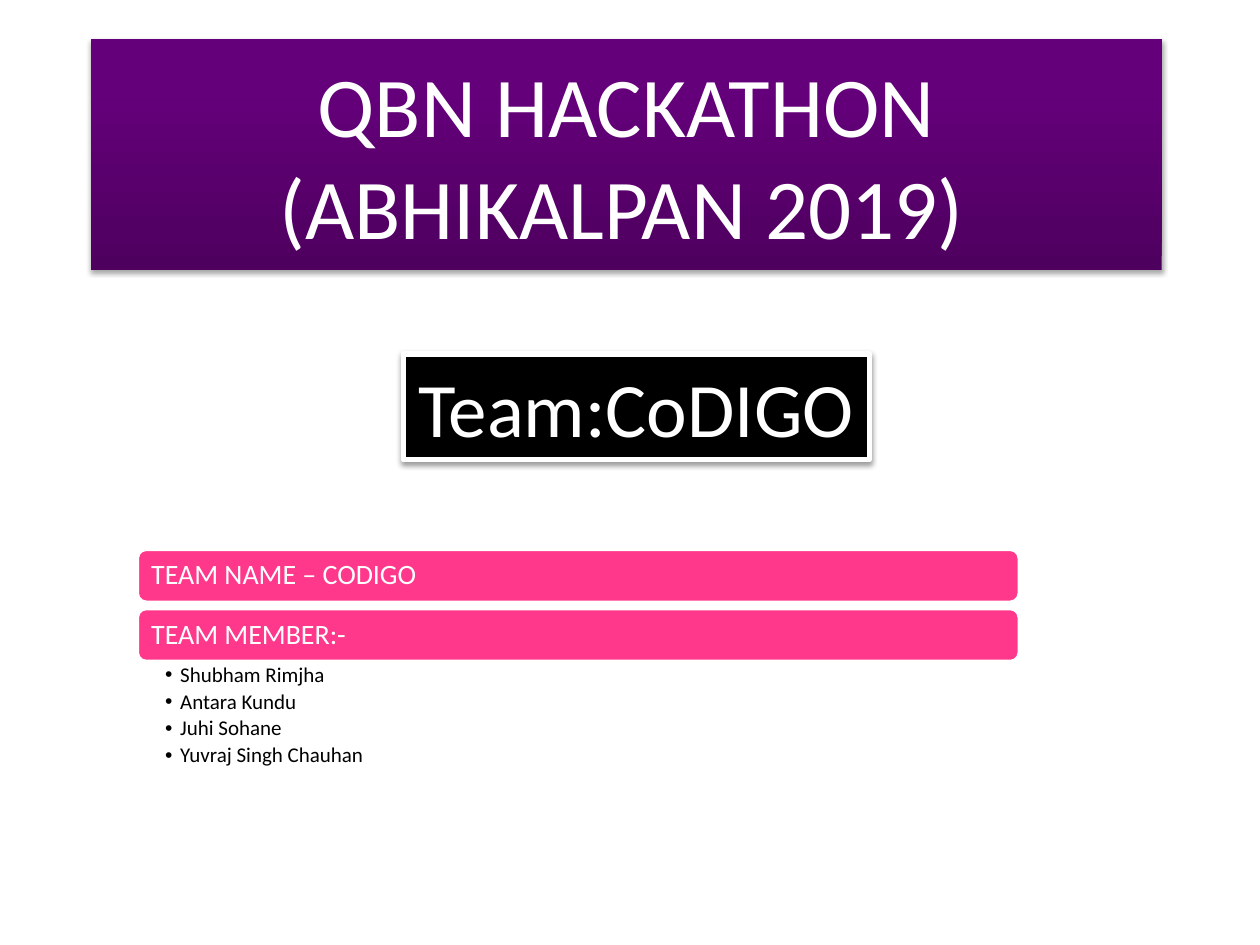
"""Build the hackathon team slide."""
from dataclasses import dataclass

from lxml.etree import SubElement
from pptx import Presentation
from pptx.dml.color import RGBColor
from pptx.enum.shapes import MSO_SHAPE as Preset
from pptx.enum.text import MSO_ANCHOR as Anchor, MSO_AUTO_SIZE as AutoSize, PP_ALIGN as Align
from pptx.oxml.ns import qn
from pptx.util import Inches, Pt

WHITE, BLACK, PINK = "FFFFFF", "000000", "FF388C"
PURPLES = (("4E005F", 0), ("65007B", 0.8))
LEFT, TOP, WIDTH = 1.09, 4.36, 7
BAR_HEIGHT, BAR_STEP = 0.42, 0.47
MEMBERS = ("Shubham Rimjha", "Antara Kundu", "Juhi Sohane", "Yuvraj Singh Chauhan")


@dataclass
class Block:
    text: str
    preset: Preset
    place: tuple[float, float, float, float]
    fill: str
    line: float
    size: float
    align: Align = Align.LEFT
    inset: float = 0.1
    wrap: bool = True
    spacing: float = 1
    shadow: int = 0


def color(code: str) -> RGBColor:
    return RGBColor.from_string(code)


def move(shape, place: tuple[float, float, float, float]) -> None:
    shape.left, shape.top, shape.width, shape.height = map(Inches, place)


def write(shape, *lines: str, size: float, code: str = WHITE, align=Align.LEFT,
          anchor=Anchor.MIDDLE, insets=(0.1, 0.05, 0.1, 0.05), wrap: bool = True,
          spacing: float = 1, after: float = 0, bullet: float = 0) -> None:
    frame = shape.text_frame
    frame.auto_size, frame.word_wrap, frame.vertical_anchor = AutoSize.NONE, wrap, anchor
    (frame.margin_left, frame.margin_top,
     frame.margin_right, frame.margin_bottom) = map(Inches, insets)
    frame.text = "\n".join(lines)
    for para in frame.paragraphs:
        para.alignment, para.line_spacing = align, spacing
        para.space_before, para.space_after = Pt(0), Pt(after)
        if bullet:
            props = para._p.get_or_add_pPr()
            props.set("marL", str(Inches(bullet)))
            props.set("indent", str(-Inches(bullet)))
            SubElement(props, qn("a:buChar"), char="•")
        for span in para.runs:
            span.font.name, span.font.size = "Calibri", Pt(size)
            span.font.color.rgb = color(code)


def cast_shadow(shape, opacity: int) -> None:
    shape.shadow.inherit = False
    effects = shape.element.spPr.find(qn("a:effectLst"))
    outer = SubElement(effects, qn("a:outerShdw"), blurRad=str(Pt(3.1)),
                       dist=str(Pt(1.7)), dir="5400000", rotWithShape="0")
    tint = SubElement(outer, qn("a:srgbClr"), val=BLACK)
    SubElement(tint, qn("a:alpha"), val=str(opacity * 1000))


def draw_block(page, block: Block) -> None:
    box = page.shapes.add_shape(block.preset, *map(Inches, block.place))
    box.fill.solid()
    box.fill.fore_color.rgb = color(block.fill)
    box.line.color.rgb = color(WHITE)
    box.line.width = Pt(block.line)
    box.shadow.inherit = False
    if block.shadow:
        cast_shadow(box, block.shadow)
    write(box, block.text, size=block.size, align=block.align, wrap=block.wrap,
          spacing=block.spacing, insets=(block.inset, 0.05, block.inset, 0.05))


def draw_title(title) -> None:
    move(title, (0.72, 0.31, 8.5, 1.83))
    title.fill.gradient()
    title.fill.gradient_angle = 90
    for stop, (code, position) in zip(title.fill.gradient_stops, PURPLES):
        stop.color.rgb, stop.position = color(code), position
    cast_shadow(title, 35)
    write(title, "QBN HACKATHON\v(ABHIKALPAN 2019)\t", size=48.6, align=Align.CENTER)


def build() -> None:
    deck = Presentation()
    deck.slide_width, deck.slide_height = Inches(10), Inches(7.5)
    page = deck.slides.add_slide(deck.slide_layouts[0])
    draw_title(page.shapes.title)

    headings = ("TEAM NAME – CODIGO", "TEAM MEMBER:-")
    bars = [Block(text, Preset.ROUNDED_RECTANGLE,
                  (LEFT, TOP + row * BAR_STEP, WIDTH, BAR_HEIGHT),
                  PINK, 2, 16, inset=0.09, spacing=0.9)
            for row, text in enumerate(headings)]
    team = Block("Team:CoDIGO", Preset.RECTANGLE, (3.2, 2.81, 3.7, 0.84), BLACK, 3, 44,
                 align=Align.CENTER, wrap=False, shadow=38)
    for block in (*bars, team):
        draw_block(page, block)

    members = page.placeholders[1]
    move(members, (LEFT, TOP + BAR_STEP + BAR_HEIGHT, WIDTH, 0.91))
    write(members, *MEMBERS, size=12, code=BLACK, anchor=Anchor.TOP,
          insets=(0.22, 0.02, 0.12, 0.02), spacing=0.9, after=2.4, bullet=0.12)
    deck.save("out.pptx")


build()
